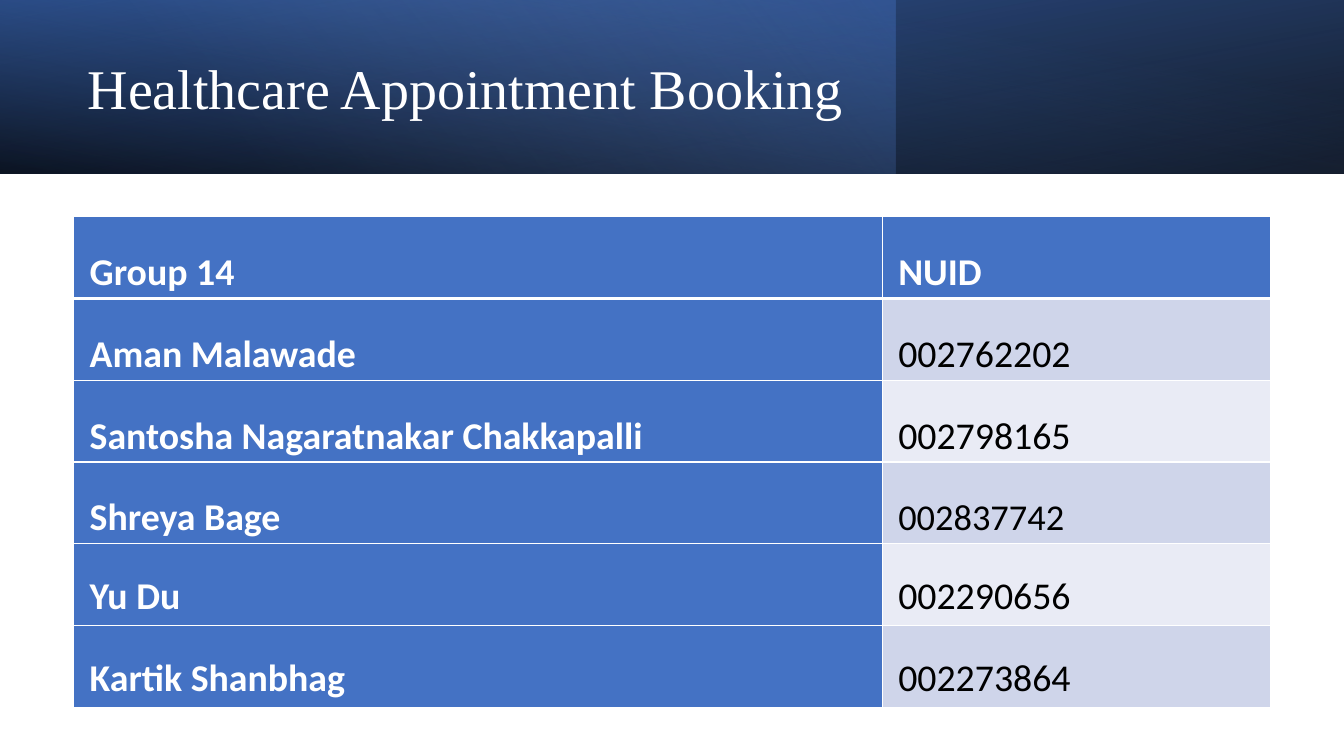
import pptx
import pptx.dml.color
import pptx.enum.shapes
import pptx.enum.text
import pptx.oxml
import pptx.oxml.ns
import pptx.util

Inches = pptx.util.Inches
Pt = pptx.util.Pt
MIDDLE = pptx.enum.text.MSO_ANCHOR.MIDDLE
TOP = pptx.enum.text.MSO_ANCHOR.TOP
NS = pptx.oxml.ns.nsdecls("a")

MEMBERS = [
    ("Group 14", "NUID"),
    ("Aman Malawade", "002762202"),
    ("Santosha Nagaratnakar Chakkapalli", "002798165"),
    ("Shreya Bage", "002837742"),
    ("Yu Du", "002290656"),
    ("Kartik Shanbhag", "002273864"),
]


def rgb(color):
    return pptx.dml.color.RGBColor.from_string(color)


def write(tf, text, font="Calibri", size=27, color="FFFFFF", bold=False,
          spacing=1.06, anchor=MIDDLE):
    tf.word_wrap = True
    tf.vertical_anchor = anchor
    p = tf.paragraphs[0]
    p.alignment = pptx.enum.text.PP_ALIGN.LEFT
    p.line_spacing = spacing
    r = p.add_run()
    r.text = text
    r.font.name = font
    r.font.size = Pt(size)
    r.font.bold = bold
    r.font.color.rgb = rgb(color)


def add_gradient(s, box, stops, angle, flip=False, rotation=0):
    sp = s.shapes.add_shape(pptx.enum.shapes.MSO_SHAPE.RECTANGLE,
                            *[Inches(v) for v in box])
    sp.shadow.inherit = False
    sp.line.fill.background()
    sp.rotation = rotation
    if flip:
        sp._element.spPr.find(pptx.oxml.ns.qn("a:xfrm")).set("flipH", "1")
    sp.fill.gradient()
    old = sp._element.spPr.find(pptx.oxml.ns.qn("a:gradFill"))
    marks = "".join(
        f'<a:gs pos="{pos * 1000}"><a:srgbClr val="{color}">'
        f'<a:alpha val="{alpha * 1000}"/></a:srgbClr></a:gs>'
        for pos, color, alpha in stops)
    new = pptx.oxml.parse_xml(
        f'<a:gradFill {NS} rotWithShape="1"><a:gsLst>{marks}</a:gsLst>'
        f'<a:lin ang="{angle * 60000}" scaled="0"/></a:gradFill>')
    old.getparent().replace(old, new)


def add_banner(s, x, y, w, h):
    add_gradient(s, (x, y, w, h), [(0, "000000", 96), (100, "2F5597", 100)],
                 100, flip=True, rotation=180)
    add_gradient(s, (x, y, w * 2 / 3, h),
                 [(0, "4472C4", 41), (74, "8FAADC", 0)], 140)
    add_gradient(s, (x, y, w, h), [(0, "000000", 63), (78, "4472C4", 15)],
                 260, flip=True)
    title = s.shapes.title
    title.left, title.top = Inches(x + 0.77), Inches(y + 0.27)
    title.width, title.height = Inches(7.72), Inches(1.27)
    write(title.text_frame, "Healthcare Appointment Booking",
          font="Times New Roman", size=40, spacing=0.9)
    s.shapes._spTree.append(title._element)


def set_borders(cell, **widths):
    tc_pr = cell._tc.get_or_add_tcPr()
    for i, side in enumerate("LRTB"):
        tc_pr.insert(i, pptx.oxml.parse_xml(
            f'<a:ln{side} {NS} w="{Pt(widths.get(side, 1))}"><a:solidFill>'
            f'<a:srgbClr val="FFFFFF"/></a:solidFill></a:ln{side}>'))


def add_members(s, x, y, w, h):
    table = s.shapes.add_table(len(MEMBERS), 2, Inches(x), Inches(y),
                               Inches(w), Inches(h)).table
    table.columns[0].width = Inches(8.02)
    table.columns[1].width = Inches(w - 8.02)
    for i, row in enumerate(MEMBERS):
        for j, text in enumerate(row):
            cell = table.cell(i, j)
            cell.margin_left, cell.margin_top = Inches(0.16), Inches(0.27)
            cell.margin_right, cell.margin_bottom = Inches(0.2), 0
            label = i == 0 or j == 0
            cell.fill.solid()
            cell.fill.fore_color.rgb = rgb(
                "4472C4" if label else "CFD5EA" if i % 2 else "E9EBF5")
            anchor = MIDDLE if i < 4 else TOP
            cell.vertical_anchor = anchor
            write(cell.text_frame, text, bold=label, anchor=anchor,
                  size=26 if text == "002837742" else 27,
                  color="FFFFFF" if label else "000000")
            set_borders(cell, T=3 if i == 1 else 1, B=3 if i == 0 else 1)


def main():
    prs = pptx.Presentation()
    prs.slide_width, prs.slide_height = Inches(13.33), Inches(7.5)
    s = prs.slides.add_slide(prs.slide_layouts[0])
    subtitle = s.placeholders[1]._element
    subtitle.getparent().remove(subtitle)
    add_banner(s, 0, 0, 13.33, 1.72)
    add_members(s, 0.73, 2.15, 11.87, 4.87)
    prs.save("out.pptx")


if __name__ == "__main__":
    main()
